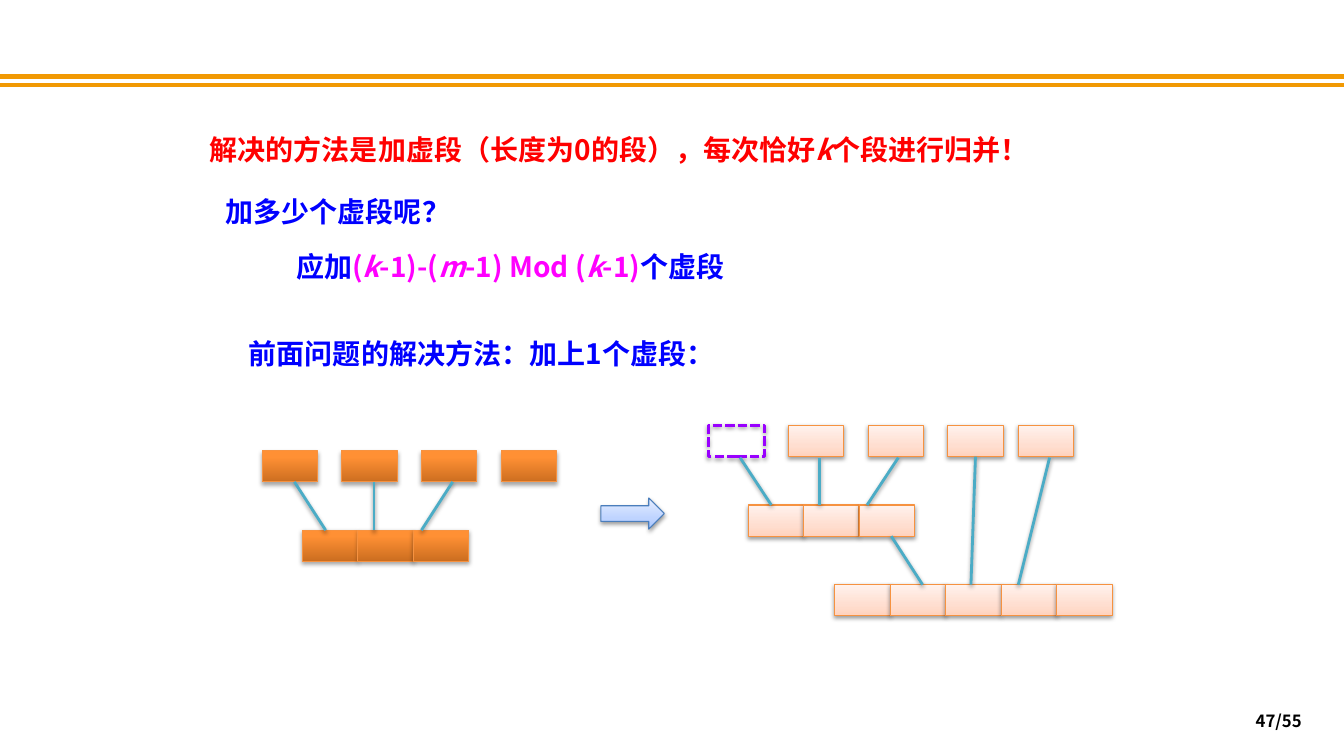
from copy import deepcopy

from lxml import etree
from pptx import Presentation
from pptx.dml.color import RGBColor
from pptx.enum.dml import MSO_LINE
from pptx.enum.shapes import MSO_CONNECTOR, MSO_SHAPE
from pptx.enum.text import MSO_ANCHOR, MSO_AUTO_SIZE, PP_ALIGN
from pptx.oxml.ns import qn
from pptx.util import Inches, Pt

STRAIGHT = MSO_CONNECTOR.STRAIGHT
RECTANGLE, RIGHT_ARROW = MSO_SHAPE.RECTANGLE, MSO_SHAPE.RIGHT_ARROW
SYSTEM_DASH = MSO_LINE.SQUARE_DOT
TOP, MIDDLE = MSO_ANCHOR.TOP, MSO_ANCHOR.MIDDLE
LEFT, RIGHT = PP_ALIGN.LEFT, PP_ALIGN.RIGHT
GROW, FIXED = MSO_AUTO_SIZE.SHAPE_TO_FIT_TEXT, MSO_AUTO_SIZE.NONE

FONT = "Noto Sans CJK SC"
RED = RGBColor(0xFF, 0x00, 0x00)
BLUE = RGBColor(0x00, 0x00, 0xFF)
MAGENTA = RGBColor(0xFF, 0x00, 0xFF)
BLACK = RGBColor(0x00, 0x00, 0x00)
GOLD = RGBColor(0xF1, 0x99, 0x03)
TEAL = RGBColor(0x4B, 0xAC, 0xC6)
ORANGE = RGBColor(0xF6, 0x92, 0x40)
PURPLE = RGBColor(0x99, 0x00, 0xFF)
ARROW_EDGE = RGBColor(0x4B, 0x7E, 0xBC)

# Gradient stops from bottom to top
PEACH = [(0, RGBColor(0xFF, 0xD2, 0xBD)), (0.35, RGBColor(0xFF, 0xDE, 0xD0)),
         (1, RGBColor(0xFF, 0xF2, 0xED))]
DARK_ORANGE = [(0, RGBColor(0xCC, 0x6E, 0x20)), (0.8, RGBColor(0xFF, 0x90, 0x34)),
               (1, RGBColor(0xFF, 0x91, 0x36))]
LIGHT_BLUE = [(0, RGBColor(0xA4, 0xC4, 0xFF)), (0.35, RGBColor(0xBF, 0xD4, 0xFF)),
              (1, RGBColor(0xE6, 0xEE, 0xFF))]

BOX_WIDTH, BOX_HEIGHT = 0.55, 0.31
SPREAD = 0.79  # pitch of separate segments
SOFT_SHADOW, DEEP_SHADOW = (38, 1.6), (35, 1.8)  # opacity in percent, distance in points


def style_outline(item, color, width, shadow=None):
    """Set the line, then either a downward shadow or none."""
    item.line.color.rgb = color
    item.line.width = Pt(width)
    effects = etree.SubElement(item._element.spPr, qn("a:effectLst"))
    if shadow:
        opacity, distance = shadow
        outer = etree.SubElement(effects, qn("a:outerShdw"), blurRad=str(Pt(3.1)),
                                 dist=str(Pt(distance)), dir="5400000", rotWithShape="0")
        black = etree.SubElement(outer, qn("a:srgbClr"), val="000000")
        etree.SubElement(black, qn("a:alpha"), val=str(opacity * 1000))


def fill_gradient(shape, stops):
    """Fill a shape with a three-stop gradient running upwards."""
    shape.fill.gradient()
    shape.fill.gradient_angle = 90
    stop_list = shape._element.spPr.find(".//" + qn("a:gsLst"))
    stop_list.append(deepcopy(stop_list[-1]))
    for stop, (position, color) in zip(shape.fill.gradient_stops, stops):
        stop.position = position
        stop.color.rgb = color


presentation = Presentation()
presentation.slide_width = Inches(13.33)
presentation.slide_height = Inches(7.5)
slide = presentation.slides.add_slide(presentation.slide_layouts[5])
shapes = slide.shapes

# Double rule across the top
for y in (0.76, 0.84):
    rule = shapes.add_connector(STRAIGHT, 0, Inches(y), Inches(13.33), Inches(y))
    style_outline(rule, GOLD, 3)

# Texts: box, position, size, alignment, anchor, fitting, runs (text, colour, italic)
texts = [
    (shapes.title, (1.98, 1.26, 8.67, 0.44), 20, LEFT, TOP, GROW,
     [("解决的方法是加虚段（长度为0的段），每次恰好", RED, False), ("k", RED, True),
      ("个段进行归并！", RED, False)]),
    (None, (2.14, 1.88, 3.2, 0.44), 20, LEFT, TOP, GROW,
     [("加多少个虚段呢？", BLUE, False)]),
    (None, (2.84, 2.43, 5.7, 0.44), 20, LEFT, TOP, GROW,
     [("应加", BLUE, False), ("(", MAGENTA, False), ("k", MAGENTA, True),
      ("-1)-(", MAGENTA, False), ("m", MAGENTA, True), ("-1) Mod (", MAGENTA, False),
      ("k", MAGENTA, True), ("-1)", MAGENTA, False), ("个虚段", BLUE, False)]),
    (None, (2.37, 3.29, 5.74, 0.44), 20, LEFT, TOP, GROW,
     [("前面问题的解决方法：加上1个虚段：", BLUE, False)]),
    (None, (9.9, 6.95, 3.11, 0.4), 12, RIGHT, MIDDLE, FIXED,
     [("47/55", BLACK, False)]),
]
for box, position, size, alignment, anchor, fitting, runs in texts:
    left, top, width, height = [Inches(value) for value in position]
    if box is None:
        box = shapes.add_textbox(left, top, width, height)
    else:
        box.left, box.top, box.width, box.height = left, top, width, height
    frame = box.text_frame
    frame.word_wrap = True
    frame.auto_size = fitting
    frame.vertical_anchor = anchor
    paragraph = frame.paragraphs[0]
    paragraph.alignment = alignment
    for text, color, italic in runs:
        run = paragraph.add_run()
        run.text = text
        formats = {"name": FONT, "size": Pt(size), "bold": True, "italic": italic}
        for name, value in formats.items():
            setattr(run.font, name, value)
        run.font.color.rgb = color
        etree.SubElement(run._r.get_or_add_rPr(), qn("a:ea"), typeface=FONT)

# Rows of segments: left, top, count, pitch, gradient, shadow
segment_rows = [
    (2.6, 4.47, 4, SPREAD, DARK_ORANGE, DEEP_SHADOW),
    (3, 5.26, 3, BOX_WIDTH, DARK_ORANGE, DEEP_SHADOW),
    (7.03, 4.22, 4, SPREAD, PEACH, SOFT_SHADOW),
    (10.1, 4.22, 1, SPREAD, PEACH, SOFT_SHADOW),
    (7.42, 5.01, 3, BOX_WIDTH, PEACH, SOFT_SHADOW),
    (8.28, 5.8, 5, BOX_WIDTH, PEACH, SOFT_SHADOW),
]
segments = {}
for row, (left, top, count, pitch, gradient, shadow) in enumerate(segment_rows):
    for column in range(count):
        segment = shapes.add_shape(RECTANGLE, Inches(left + column * pitch), Inches(top),
                                   Inches(BOX_WIDTH), Inches(BOX_HEIGHT))
        segments[row, column] = segment
        if (row, column) == (2, 0):  # the dummy segment
            segment.fill.background()
            style_outline(segment, PURPLE, 2.25, shadow)
            segment.line.dash_style = SYSTEM_DASH
        else:
            fill_gradient(segment, gradient)
            style_outline(segment, ORANGE, 0.75, shadow)

# Merge lines: start x, start y, end x, end y, segment joined at its bottom
merge_lines = [
    (8.84, 5.32, 9.15, 5.8, None),
    (9.68, 4.54, 9.63, 5.8, segments[2, 3]),
    (10.41, 4.54, 10.1, 5.8, None),
]
for left, top, bottom in ((2.92, 4.78, 5.26), (7.34, 4.54, 5.01)):
    for start, end in ((0, 0.31), (SPREAD, SPREAD), (1.57, 1.26)):
        merge_lines.append((left + start, top, left + end, bottom, None))
for x1, y1, x2, y2, joined in merge_lines:
    merge_line = shapes.add_connector(STRAIGHT, Inches(x1), Inches(y1), Inches(x2), Inches(y2))
    if joined:
        merge_line.begin_connect(joined, 2)
    style_outline(merge_line, TEAL, 2, SOFT_SHADOW)

# Arrow between the two merge trees
arrow = shapes.add_shape(RIGHT_ARROW, Inches(5.96), Inches(4.94), Inches(0.63), Inches(0.31))
fill_gradient(arrow, LIGHT_BLUE)
style_outline(arrow, ARROW_EDGE, 0.75, SOFT_SHADOW)

presentation.save("out.pptx")
